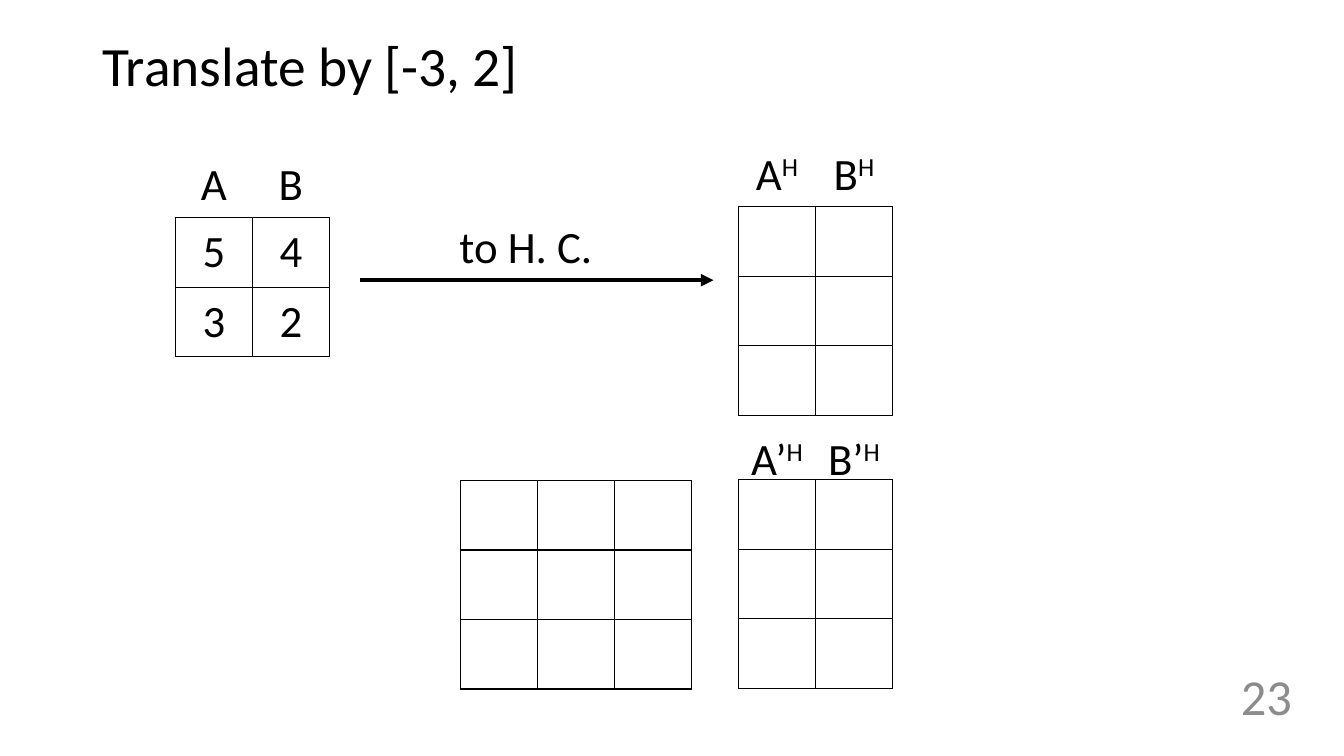
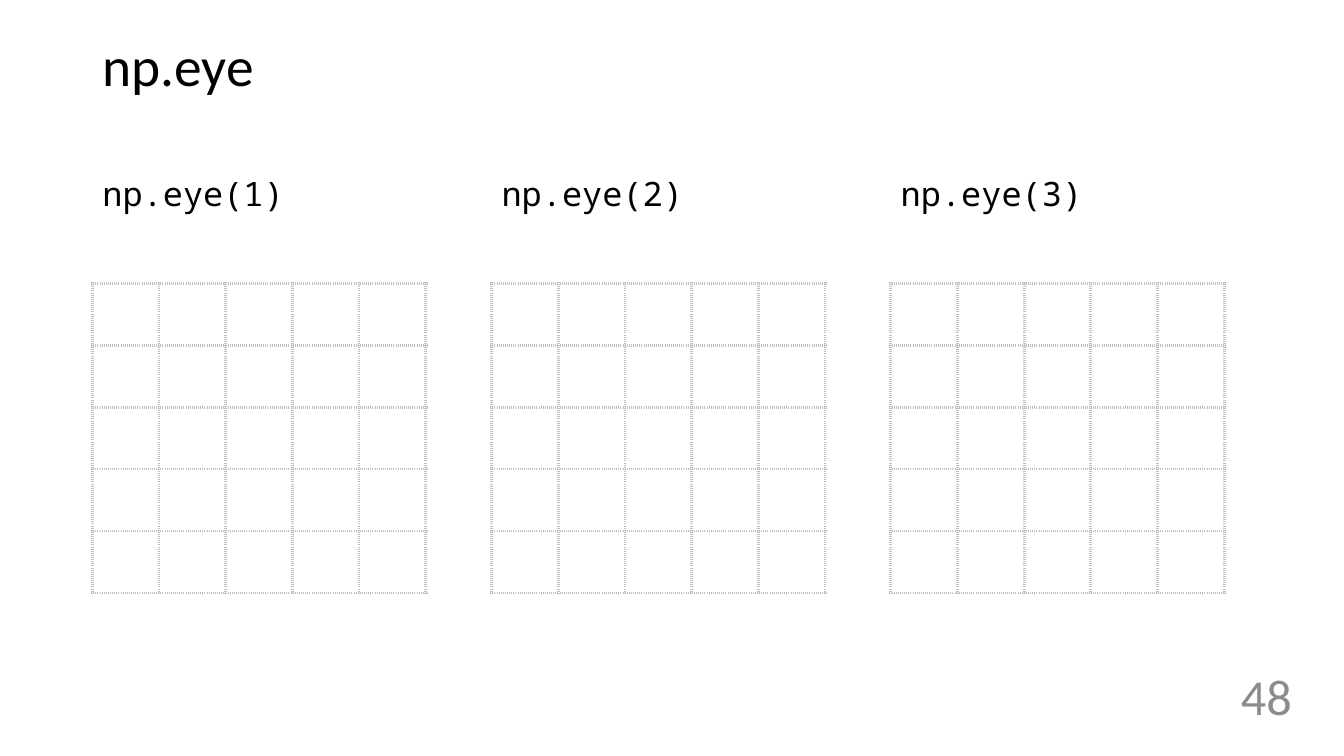
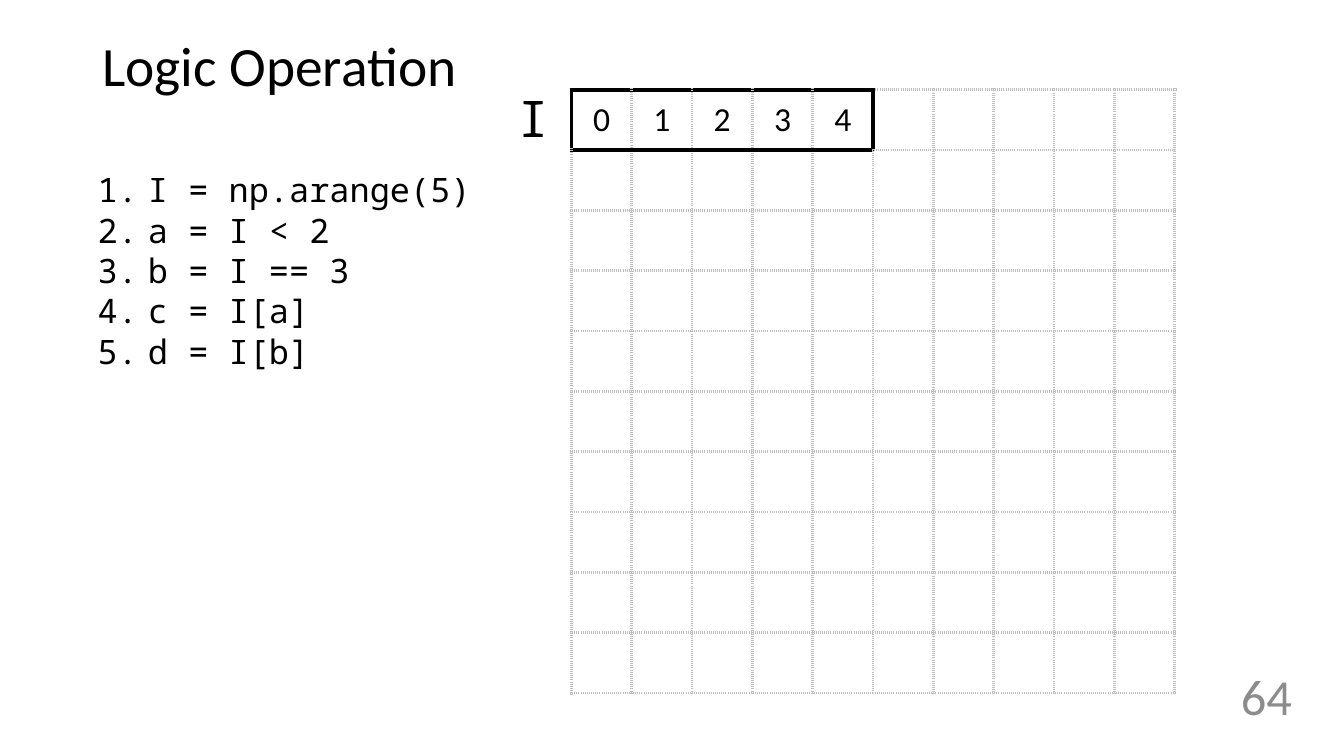
from lxml import etree
from pptx import Presentation
from pptx.dml.color import RGBColor
from pptx.enum.shapes import MSO_CONNECTOR
from pptx.enum.text import MSO_ANCHOR, MSO_AUTO_SIZE, PP_ALIGN
from pptx.oxml.ns import qn
from pptx.util import Cm, Pt

LEFT, CENTER, RIGHT = PP_ALIGN.LEFT, PP_ALIGN.CENTER, PP_ALIGN.RIGHT
TOP, MIDDLE = MSO_ANCHOR.TOP, MSO_ANCHOR.MIDDLE
STRAIGHT = MSO_CONNECTOR.STRAIGHT
FIT_TEXT = MSO_AUTO_SIZE.SHAPE_TO_FIT_TEXT

BODY_FONT, CODE_FONT = "Calibri", "Noto Sans Mono"
BLACK, GRAY, LIGHT_GRAY = "000000", "8C8C8C", "BFBFBF"

# Cell edges: colour, width in points, dash
THIN = (BLACK, 1, "solid")
THICK = (BLACK, 3, "solid")
DOTTED = (LIGHT_GRAY, 2.25, "sysDot")

# Edge tag and the row and column offset of the neighbour across it
SIDES = (("lnL", 0, -1), ("lnR", 0, 1), ("lnT", -1, 0), ("lnB", 1, 0))

MATRIX_CELL = (1.94, 1.75)
EYE_CELL = (1.68, 1.56)
ARRAY_CELL = (1.52, 1.52)


def color(value):
    return RGBColor.from_string(value)


def sub(parent, tag, **attributes):
    return etree.SubElement(parent, qn(f"a:{tag}"), **attributes)


def add_span(para, text, size, font=BODY_FONT, ink=BLACK):
    span = para.add_run()
    span.text = text
    span.font.size = Pt(size)
    span.font.name = font
    span.font.color.rgb = color(ink)
    return span


def add_text(page, place, lines, size, font=BODY_FONT, ink=BLACK, align=LEFT,
             anchor=TOP, wrap=True, numbered=False, spacing=1.0):
    """Put one paragraph per line in a box; place is in centimetres."""
    frame = page.shapes.add_textbox(*map(Cm, place)).text_frame
    frame.word_wrap = wrap
    if not wrap:
        frame.auto_size = FIT_TEXT
    frame.vertical_anchor = anchor
    for index, line in enumerate(lines):
        para = frame.add_paragraph() if index else frame.paragraphs[0]
        if numbered:
            number_paragraph(para, font)
        para.alignment = align
        para.line_spacing = spacing
        add_span(para, line, size, font, ink)


def number_paragraph(para, font):
    properties = para._p.get_or_add_pPr()
    indent = Cm(1.27)
    properties.set("marL", str(indent))
    properties.set("indent", str(-indent))
    sub(properties, "buFont", typeface=font)
    sub(properties, "buAutoNum", type="arabicPeriod")


def set_edge(cell, tag, edge):
    properties = cell._tc.get_or_add_tcPr()
    if edge is None:
        sub(sub(properties, tag, w="0"), "noFill")
        return
    ink, width, dash = edge
    line = sub(properties, tag, w=str(Pt(width)))
    sub(sub(line, "solidFill"), "srgbClr", val=ink)
    sub(line, "prstDash", val=dash)


def fill_cell(cell, text, size):
    """Centre the text; whatever follows a caret is superscript."""
    cell.vertical_anchor = MIDDLE
    para = cell.text_frame.paragraphs[0]
    para.alignment = CENTER
    base, _, raised = text.partition("^")
    add_span(para, base, size)
    if raised:
        add_span(para, raised, size)._r.get_or_add_rPr().set("baseline", "30000")


def add_grid(page, left, top, cell_size, rows, columns, edge=None,
             values=(), size=32, outlined=()):
    """Draw a table of equal cells; outlined cells get a thick outer edge."""
    width, height = cell_size
    table = page.shapes.add_table(rows, columns, Cm(left), Cm(top),
                                  Cm(width * columns), Cm(height * rows)).table
    table.first_row = table.horz_banding = False
    for column in table.columns:
        column.width = Cm(width)
    for row in table.rows:
        row.height = Cm(height)
    for r in range(rows):
        for c in range(columns):
            cell = table.cell(r, c)
            for tag, down, across in SIDES:
                neighbour = (r + down, c + across)
                on_outline = ((r, c) in outlined) != (neighbour in outlined)
                set_edge(cell, f"{tag}", THICK if on_outline else edge)
            cell.fill.background()
    for r, texts in enumerate(values):
        for c, text in enumerate(texts):
            fill_cell(table.cell(r, c), text, size)


def add_arrow(page, start, end, y):
    arrow = page.shapes.add_connector(STRAIGHT, Cm(start), Cm(y), Cm(end), Cm(y))
    arrow.line.color.rgb = color(BLACK)
    arrow.line.width = Pt(3)
    sub(arrow.line._get_or_add_ln(), "tailEnd", type="triangle")
    sub(arrow._element.spPr, "effectLst")


def add_page(deck, title, number):
    page = deck.slides.add_slide(deck.slide_layouts[6])
    add_text(page, (2.33, 1.02, 29.21, 1.4), [title], 39.6,
             anchor=MIDDLE, spacing=0.9)
    add_text(page, (29.63, 16.43, 3.18, 2.18), [str(number)], 36, ink=GRAY,
             align=RIGHT, anchor=MIDDLE)
    return page


def build_translation(deck):
    page = add_page(deck, "Translate by [-3, 2]", 23)
    points_left, homogeneous_left = 4.42, 18.61
    for left, top, rows, columns, values in (
        (homogeneous_left, 12.09, 3, 2, ()),
        (homogeneous_left, 5.21, 3, 2, ()),
        (11.61, 12.11, 3, 3, ()),
        (points_left, 5.49, 2, 2, ("54", "32")),
    ):
        add_grid(page, left, top, MATRIX_CELL, rows, columns, THIN, values)
    add_arrow(page, 9.07, 17.98, 7.06)
    add_text(page, (11.33, 5.38, 3.91, 1.63), ["to H. C."], 32, wrap=False)
    for left, top, names in (
        (points_left, 3.78, ("A", "B")),
        (homogeneous_left, 3.53, ("A^H", "B^H")),
        (homogeneous_left, 10.72, ("A’^H", "B’^H")),
    ):
        add_grid(page, left, top, MATRIX_CELL, 1, 2, values=[names])


def build_eye(deck):
    page = add_page(deck, "np.eye", 48)
    for index in range(3):
        left = 2.33 + index * 10.06
        add_text(page, (left, 4.24, 8.15, 1.27), [f"np.eye({index + 1})"], 24,
                 CODE_FONT)
        add_grid(page, left, 7.14, EYE_CELL, 5, 5, DOTTED)


def build_logic(deck):
    page = add_page(deck, "Logic Operation", 64)
    add_grid(page, 14.4, 2.26, ARRAY_CELL, 10, 10, DOTTED, ["01234"], 24,
             outlined={(0, column) for column in range(5)})
    code = ["I = np.arange(5)", "a = I < 2", "b = I == 3", "c = I[a]", "d = I[b]"]
    add_text(page, (2.21, 4.14, 11.48, 5.38), code, 24, CODE_FONT, numbered=True)
    add_text(page, (12.83, 2.08, 1.22, 1.8), ["I"], 36, CODE_FONT, wrap=False)


def main():
    deck = Presentation()
    deck.slide_width, deck.slide_height = Cm(33.87), Cm(19.05)
    build_translation(deck)
    build_eye(deck)
    build_logic(deck)
    deck.save("out.pptx")


if __name__ == "__main__":
    main()
